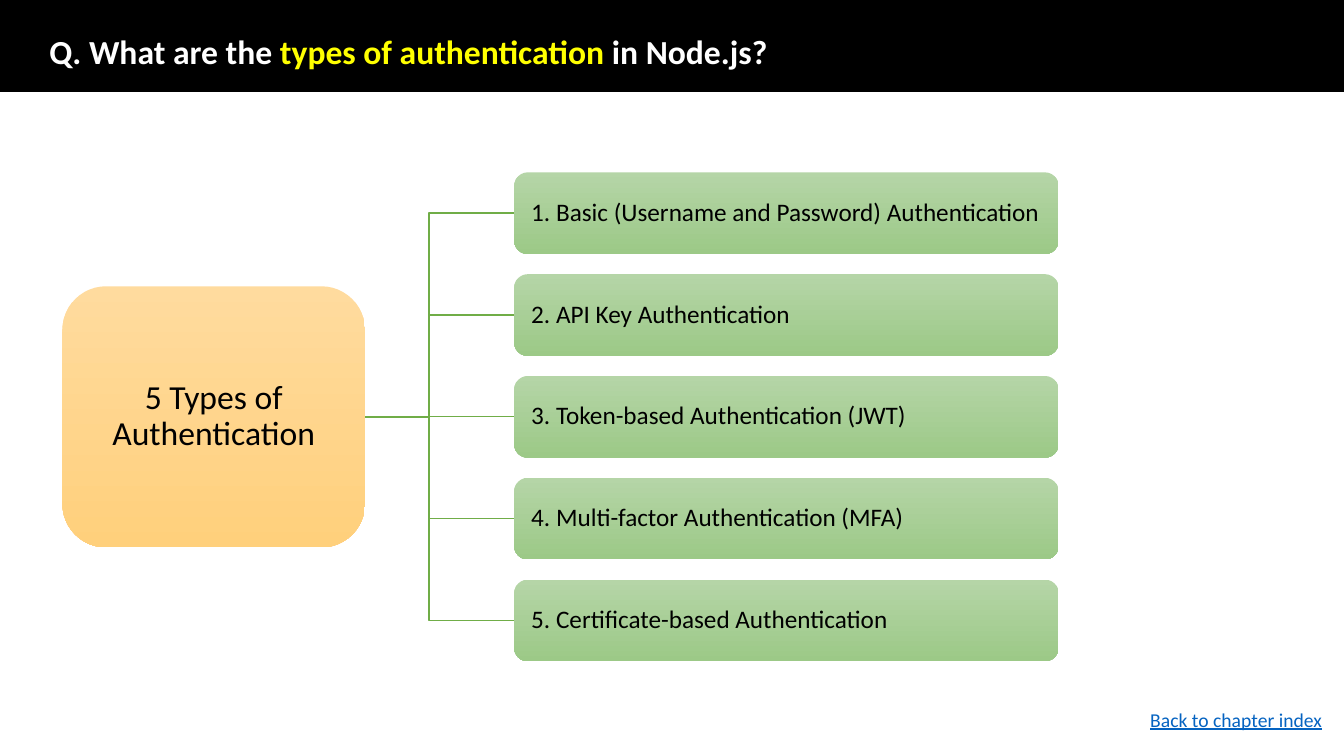
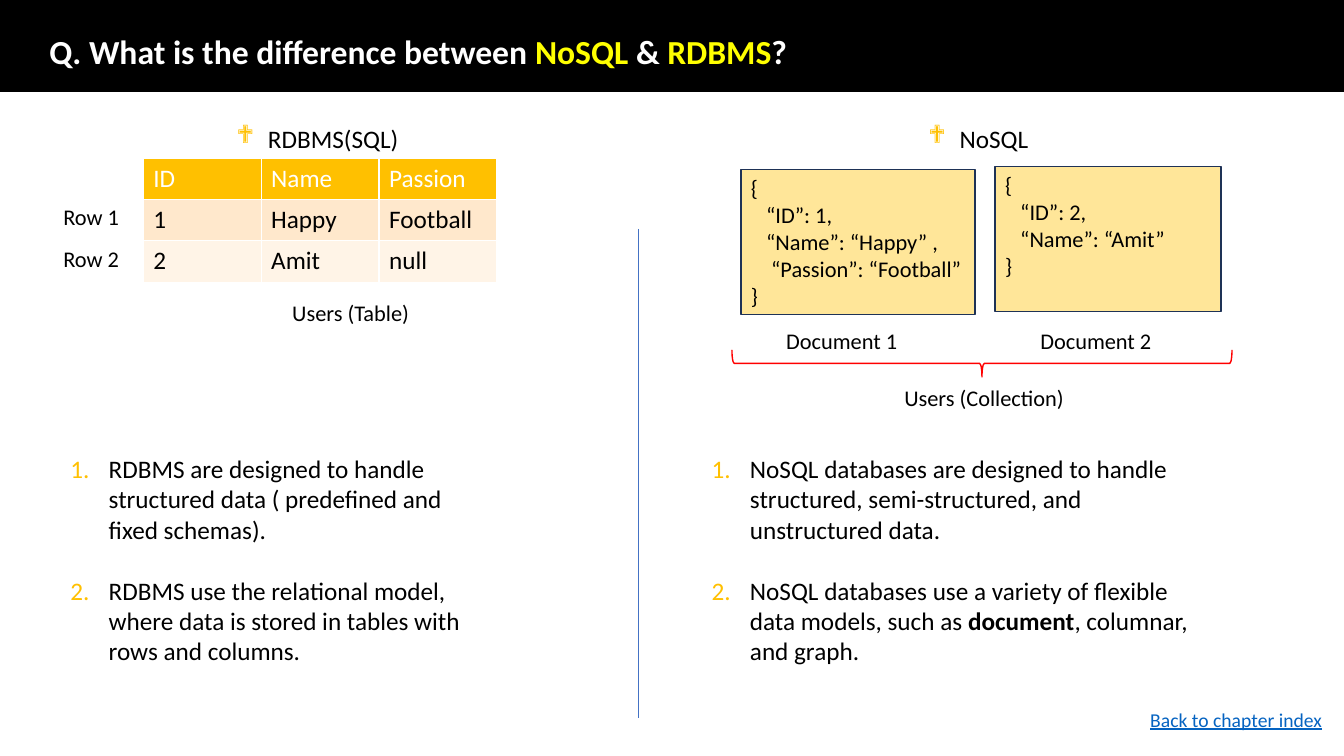
from lxml import etree
from pptx import Presentation
from pptx.dml.color import RGBColor
from pptx.enum.shapes import MSO_CONNECTOR, MSO_SHAPE
from pptx.enum.text import MSO_ANCHOR, MSO_AUTO_SIZE, PP_ALIGN
from pptx.oxml.ns import qn
from pptx.util import Pt

PX = 9144  # EMU in one px, 100 px to the inch
FONT = "Calibri"
COLORS = {
    "black": "000000", "white": "FFFFFF", "yellow": "FFFF00", "link": "0563C1",
    "amber": "FFC000", "amber_mid": "FFE8CC", "amber_pale": "FFF4E7",
    "root_top": "FFDB9E", "root_bottom": "FFD07C",
    "branch_top": "B5D5A7", "branch_bottom": "9CC987", "green": "70AD47",
    "note": "FFE699", "navy": "1E3256", "blue": "4472C4", "red": "FF0000",
}


def rgb(name):
    return RGBColor.from_string(COLORS[name])


def emu(*lengths):
    return [round(v * PX) for v in lengths]


def add_bullet(p, kind, value, indent):
    """Give a paragraph an amber bullet: kind is buChar or buAutoNum."""
    pPr = p._p.get_or_add_pPr()
    pPr.set("marL", str(indent * PX))
    pPr.set("indent", str(-indent * PX))
    clr = etree.SubElement(pPr, qn("a:buClr"))
    etree.SubElement(clr, qn("a:srgbClr")).set("val", COLORS["amber"])
    if kind == "buChar":
        etree.SubElement(pPr, qn("a:buFont")).set("typeface", "Wingdings")
    bullet = etree.SubElement(pPr, qn("a:" + kind))
    bullet.set("char" if kind == "buChar" else "type", value)


def write(tf, paragraphs, size=16, color="black", bold=False, underline=False,
          align=PP_ALIGN.LEFT, anchor=MSO_ANCHOR.TOP, spacing=None, gap=0,
          bullet=None, inset=None):
    """Each paragraph is a string or a list of (text, run overrides)."""
    tf.word_wrap = True
    tf.auto_size = MSO_AUTO_SIZE.NONE
    tf.vertical_anchor = anchor
    if inset:
        (tf.margin_left, tf.margin_top,
         tf.margin_right, tf.margin_bottom) = emu(*inset)
    for i, runs in enumerate(paragraphs):
        p = tf.add_paragraph() if i else tf.paragraphs[0]
        if bullet:
            add_bullet(p, *bullet)
        p.alignment = align
        if spacing:
            p.line_spacing = spacing
        if i and gap:
            p.space_before = Pt(gap)
        for text, changes in [(runs, {})] if isinstance(runs, str) else runs:
            look = {"color": color, "bold": bold, **changes}
            r = p.add_run()
            r.text = text
            r.font.name = FONT
            r.font.size = Pt(size)
            r.font.bold = look["bold"]
            r.font.underline = underline
            r.font.color.rgb = rgb(look["color"])


def add_text(s, x, y, w, h, *paragraphs, **fmt):
    write(s.shapes.add_textbox(*emu(x, y, w, h)).text_frame, paragraphs, **fmt)


def add_box(s, kind, x, y, w, h, fill=None, line=None):
    """Add a preset shape; a pair of fill colours makes a vertical gradient."""
    sp = s.shapes.add_shape(kind, *emu(x, y, w, h))
    sp.shadow.inherit = False
    if isinstance(fill, tuple):
        sp.fill.gradient()
        sp.fill.gradient_angle = 270
        for stop, name in zip(sp.fill.gradient_stops, fill):
            stop.color.rgb = rgb(name)
    elif fill:
        sp.fill.solid()
        sp.fill.fore_color.rgb = rgb(fill)
    else:
        sp.fill.background()
    if line:
        sp.line.color.rgb = rgb(line)
        sp.line.width = Pt(1)
    else:
        sp.line.fill.background()
    return sp


def add_line(s, x1, y1, x2, y2, color, width=1):
    c = s.shapes.add_connector(MSO_CONNECTOR.STRAIGHT, *emu(x1, y1, x2, y2))
    c.line.color.rgb = rgb(color)
    c.line.width = Pt(width)
    etree.SubElement(c._element.spPr, qn("a:effectLst"))


def add_elbow(s, x1, y1, x2, y2, color):
    """Draw a line that bends at right angles halfway between its ends."""
    middle = (x1 + x2) / 2
    builder = s.shapes.build_freeform(*emu(x1, y1))
    builder.add_line_segments(
        [emu(middle, y1), emu(middle, y2), emu(x2, y2)], close=False)
    sp = builder.convert_to_shape()
    sp.shadow.inherit = False
    sp.fill.background()
    sp.line.color.rgb = rgb(color)
    sp.line.width = Pt(1)


def question_slide(prs, *title_runs):
    """Start a slide with the black title band and the index label."""
    s = prs.slides.add_slide(prs.slide_layouts[5])
    band = add_box(s, MSO_SHAPE.RECTANGLE, 0, 0, 1333, 91, "black", "black")
    title = s.shapes.title
    title._element.addprevious(band._element)
    title.left, title.top, title.width, title.height = emu(39, 35, 1160, 36)
    write(title.text_frame, [title_runs], size=24, color="white", bold=True,
          anchor=MSO_ANCHOR.MIDDLE, spacing=0.9)
    add_text(s, 1131, 697, 202, 34, "Back to chapter index", size=14,
             color="link", underline=True)
    return s


def type_tree(s, x, y, w, h, root, branches):
    """Draw a root box on the left, joined to a column of branch boxes."""
    branch_x, branch_h, root_w, root_h = x + 448, 81, 300, 259
    pitch = (h - branch_h) / (len(branches) - 1)
    start_x, middle = x + 279, y + h / 2
    centers = [y + branch_h / 2 + i * pitch for i in range(len(branches))]
    for center in centers:
        draw = add_line if center == middle else add_elbow
        draw(s, start_x, middle, branch_x, center, "green")
    sp = add_box(s, MSO_SHAPE.ROUNDED_RECTANGLE, x, middle - root_h / 2,
                 root_w, root_h, ("root_top", "root_bottom"))
    write(sp.text_frame, [root], size=24, align=PP_ALIGN.CENTER,
          anchor=MSO_ANCHOR.MIDDLE, spacing=0.9, inset=(2, 2, 2, 2))
    for center, label in zip(centers, branches):
        sp = add_box(s, MSO_SHAPE.ROUNDED_RECTANGLE, branch_x,
                     center - branch_h / 2, x + w - branch_x, branch_h,
                     ("branch_top", "branch_bottom"))
        write(sp.text_frame, [label], size=18, anchor=MSO_ANCHOR.MIDDLE,
              spacing=0.9, inset=(13, 1, 1, 1))


def add_heading(s, x, y, w, text):
    add_text(s, x, y, w, 40, text, size=18, bullet=("buChar", "❖", 31))


def add_points(s, x, y, w, *points):
    add_text(s, x, y, w, 222, *points, size=18, gap=22,
             bullet=("buAutoNum", "arabicPeriod", 38))


def add_grid(s, x, y, col_w, row_h, rows):
    table = s.shapes.add_table(len(rows), len(rows[0]), *emu(
        x, y, col_w * len(rows[0]), row_h * len(rows))).table
    for i, values in enumerate(rows):
        table.rows[i].height = row_h * PX
        for j, value in enumerate(values):
            cell = table.cell(i, j)
            cell.fill.solid()
            cell.fill.fore_color.rgb = rgb(("amber", "amber_mid", "amber_pale")[i])
            write(cell.text_frame, [value], size=18,
                  color="black" if i else "white")


def relational_panel(s, x, y, w):
    rows = [("ID", "Name", "Passion"), ("1", "Happy", "Football"),
            ("2", "Amit", "null")]
    row_h, grid_y = 41, y + 40
    add_heading(s, x + 172, y, 193, "RDBMS(SQL)")
    add_grid(s, x + 89, grid_y, 117, row_h, rows)
    for i in range(1, len(rows)):
        add_text(s, x, grid_y + i * row_h - 1, 83, 37, f"Row {i}")
    add_text(s, x + 227, y + 175, 158, 37, "Users (Table)")
    add_points(
        s, x + 7, y + 328, w - 7,
        "RDBMS are designed to handle structured data ( predefined and fixed schemas).",
        "RDBMS use the relational model, where data is stored in tables with rows and columns.")


def document_panel(s, x, y, w):
    documents = [
        (39, 51, 232, ["{", "   “ID”: 1,", "   “Name”: “Happy” ,",
                       "    “Passion”: “Football”", "}"]),
        (291, 48, 224, ["{", "   “ID”: 2,", "   “Name”: “Amit”", "}"]),
    ]
    add_heading(s, x + 215, y, 153, "NoSQL")
    for i, (dx, dy, doc_w, code) in enumerate(documents, 1):
        sp = add_box(s, MSO_SHAPE.RECTANGLE, x + dx, y + dy, doc_w, 144,
                     "note", "navy")
        write(sp.text_frame, code)
        add_text(s, x + dx + 35, y + 203, 153, 37, f"Document {i}")
    brace_down(s, x + 30, y + 230, 496, 27)
    add_text(s, x + 191, y + 259, 201, 37, "Users (Collection)")
    add_points(
        s, x, y + 328, w,
        "NoSQL databases are designed to handle structured, semi-structured, "
        "and unstructured data.",
        [("NoSQL databases use a variety of flexible data models, such as ", {}),
         ("document", {"bold": True}), (", columnar, and graph.", {})])


def brace_down(s, x, y, w, h):
    """Turn a left brace so that it fills the given box and points down."""
    sp = add_box(s, MSO_SHAPE.LEFT_BRACE, x + (w - h) / 2, y + (h - w) / 2,
                 h, w, line="red")
    sp.rotation = 270


def main():
    prs = Presentation()
    prs.slide_width, prs.slide_height = emu(1333, 750)
    marked = {"color": "yellow"}

    s = question_slide(prs, ("Q. What are the ", {}),
                       ("types of authentication ", marked), ("in Node.js?", {}))
    type_tree(s, 62, 171, 988, 485, "5 Types of Authentication", [
        "1. Basic (Username and Password) Authentication",
        "2. API Key Authentication",
        "3. Token-based Authentication (JWT)",
        "4. Multi-factor Authentication (MFA)",
        "5. Certificate-based Authentication"])

    s = question_slide(prs, ("Q. What is the difference between ", {}),
                       ("NoSQL", marked), (" & ", {}), ("RDBMS", marked), ("?", {}))
    add_line(s, 633, 227, 633, 712, "blue", 0.5)
    relational_panel(s, 53, 117, 447)
    document_panel(s, 696, 117, 515)

    prs.save("out.pptx")


if __name__ == "__main__":
    main()
